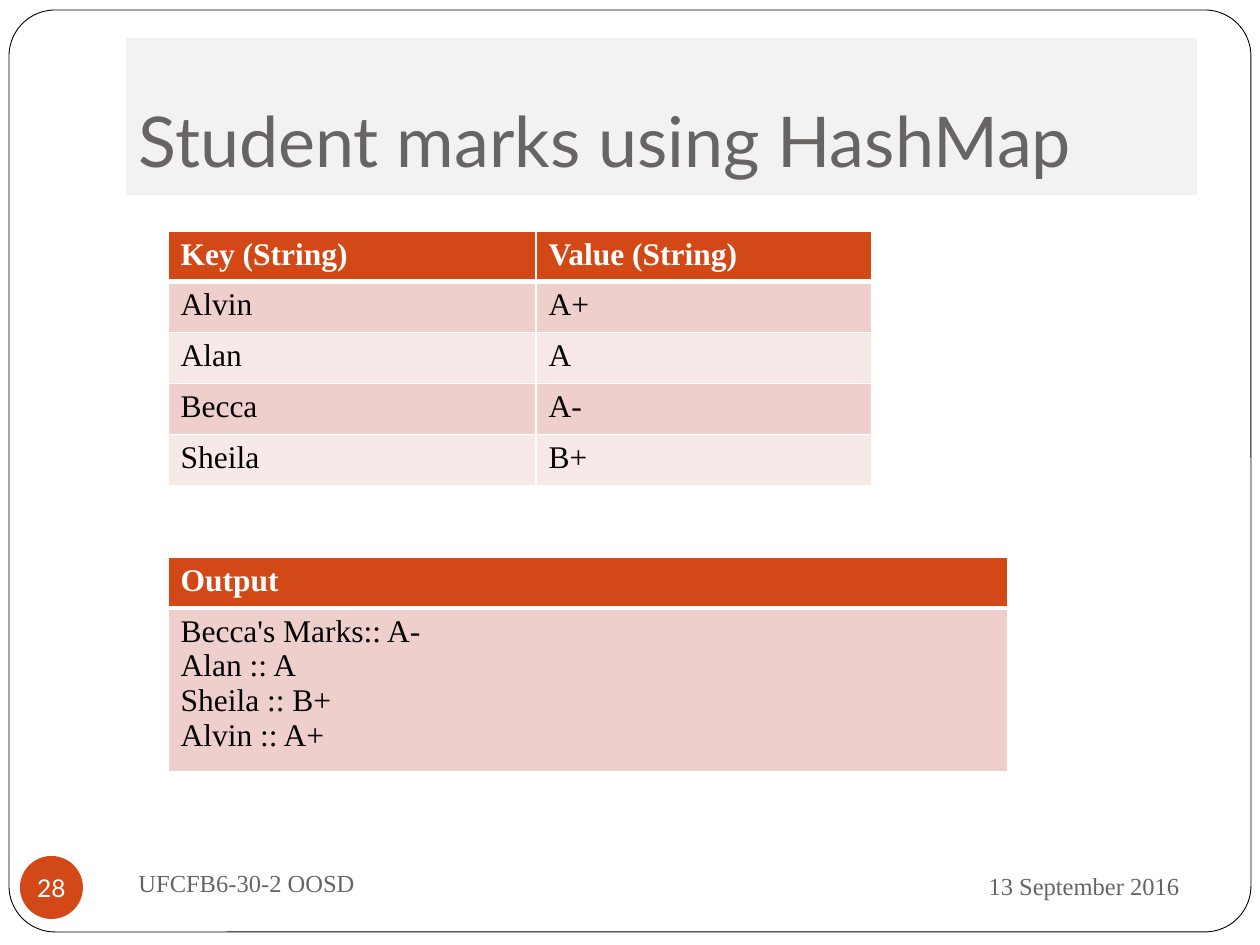
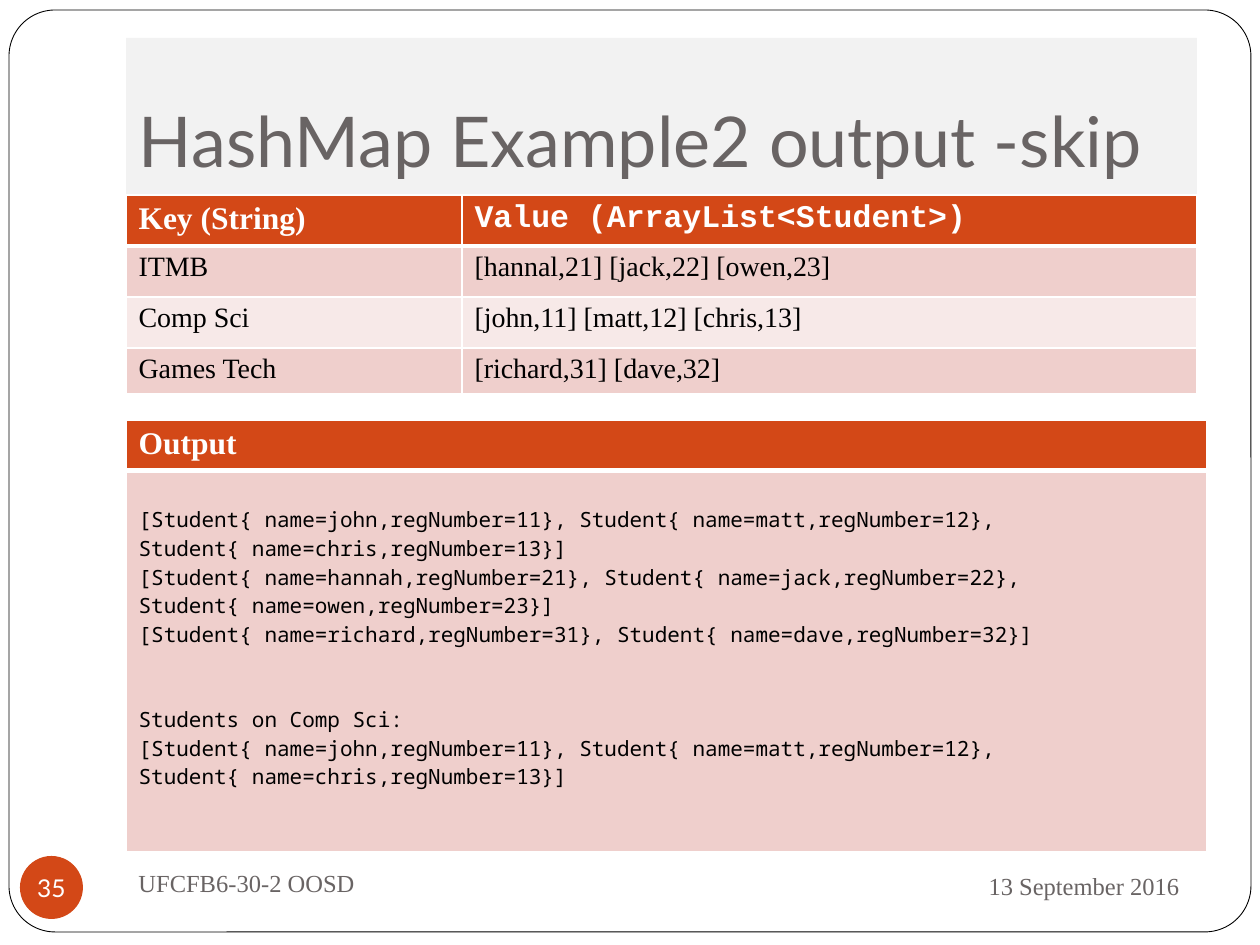
from lxml import etree
from pptx import Presentation
from pptx.dml.color import RGBColor
from pptx.enum.shapes import MSO_SHAPE
from pptx.enum.text import MSO_ANCHOR, MSO_AUTO_SIZE, PP_ALIGN
from pptx.oxml.ns import qn
from pptx.util import Pt

PX = 914400 / 126
LEFT, MID, RIGHT = PP_ALIGN.LEFT, PP_ALIGN.CENTER, PP_ALIGN.RIGHT
TOP, CENTRE, BASE = MSO_ANCHOR.TOP, MSO_ANCHOR.MIDDLE, MSO_ANCHOR.BOTTOM
NO_FIT = MSO_AUTO_SIZE.NONE
ROUND, OVAL = MSO_SHAPE.ROUNDED_RECTANGLE, MSO_SHAPE.OVAL

WHITE = RGBColor(0xFF, 0xFF, 0xFF)
BLACK = RGBColor(0, 0, 0)
GREY = RGBColor(0x69, 0x64, 0x64)
PALE = RGBColor(0xF2, 0xF2, 0xF2)
RUST = RGBColor(0xD3, 0x48, 0x17)
BANDS = RGBColor(0xEF, 0xCF, 0xCC), RGBColor(0xF7, 0xE9, 0xE8)

SANS, SERIF = "Lato", "Times New Roman"
CODE, MONO = "Courier New", "Noto Sans Mono"

MARKS = [
    ["Key (String)", "Value (String)"],
    ["Alvin", "A+"],
    ["Alan", "A"],
    ["Becca", "A-"],
    ["Sheila", "B+"],
]
GRADES = "Becca's Marks:: A-\nAlan :: A\nSheila :: B+\nAlvin :: A+"
GROUPS = [
    ["Key (String)", "Value (ArrayList<Student>)"],
    ["ITMB", "[hannal,21] [jack,22] [owen,23]"],
    ["Comp Sci", "[john,11] [matt,12] [chris,13]"],
    ["Games Tech", "[richard,31] [dave,32]"],
]
COMP = ("[Student{ name=john,regNumber=11}, Student{ name=matt,regNumber=12}, "
        "Student{ name=chris,regNumber=13}]")
LISTS = "\n".join([
    COMP,
    "[Student{ name=hannah,regNumber=21}, Student{ name=jack,regNumber=22}, "
    "Student{ name=owen,regNumber=23}]",
    "[Student{ name=richard,regNumber=31}, Student{ name=dave,regNumber=32}]",
    "Students on Comp Sci:",
    COMP,
])


def emu(px):
    """Turn px into EMU."""
    return round(px * PX)


def write(frame, text, size=18, font=SERIF, color=BLACK, bold=False,
          align=LEFT, gaps=None):
    """Fill a text frame, one paragraph a line; gaps maps a line to its space before."""
    frame.text = text
    for row, par in enumerate(frame.paragraphs):
        par.alignment = align
        par.font.size = Pt(size)
        par.font.name = font
        par.font.bold = bold
        par.font.color.rgb = color
        if gaps and row in gaps:
            par.space_before = Pt(gaps[row])


def add_form(slide, kind, box, fill):
    """Add a plain filled shape."""
    form = slide.shapes.add_shape(kind, *map(emu, box))
    form.shadow.inherit = False
    form.fill.solid()
    form.fill.fore_color.rgb = fill
    form.line.fill.background()
    return form


def add_frame(slide):
    """Add the rounded page outline behind everything else."""
    frame = add_form(slide, ROUND, (9, 10, 1242, 922), WHITE)
    frame.adjustments[0] = 0.05
    frame.line.color.rgb = BLACK
    frame.line.width = Pt(0.5)
    slide.shapes[0]._element.addprevious(frame._element)


def set_title(slide, text):
    """Place and format the title band."""
    title = slide.shapes.title
    title.left, title.top, title.width, title.height = map(emu, (126, 38, 1071, 157))
    title.fill.solid()
    title.fill.fore_color.rgb = PALE
    frame = title.text_frame
    frame.auto_size = NO_FIT
    frame.vertical_anchor = BASE
    frame.margin_left = frame.margin_right = frame.margin_bottom = emu(13)
    frame.margin_top = emu(6)
    write(frame, text, size=40, font=SANS, color=GREY)


def add_note(slide, box, text, align=LEFT):
    """Add a footer text."""
    frame = slide.shapes.add_textbox(*map(emu, box)).text_frame
    frame.word_wrap = True
    frame.vertical_anchor = CENTRE
    write(frame, text, size=14, color=GREY, align=align)


def add_badge(slide, number):
    """Add the round page number."""
    frame = add_form(slide, OVAL, (20, 856, 63, 63), RUST).text_frame
    frame.margin_left = frame.margin_right = 0
    frame.margin_top = frame.margin_bottom = 0
    frame.word_wrap = False
    frame.vertical_anchor = CENTRE
    write(frame, str(number), size=14, font=SANS, color=WHITE, align=MID)


def add_edge(cell, side, width):
    """Draw one white border of a cell."""
    props = cell._tc.get_or_add_tcPr()
    line = etree.SubElement(props, qn(f"a:ln{side}"), w=str(Pt(width)))
    fill = etree.SubElement(line, qn("a:solidFill"))
    etree.SubElement(fill, qn("a:srgbClr"), val=str(WHITE))


def add_grid(slide, left, top, cols, rows, cells, size=18, font=SERIF,
             heads=(SERIF, SERIF), gaps=None, pad=6):
    """Add a table with a rust header and banded rows."""
    box = left, top, sum(cols), sum(rows)
    table = slide.shapes.add_table(len(rows), len(cols), *map(emu, box)).table
    for col, width in zip(table.columns, cols):
        col.width = emu(width)
    for r, (row, height) in enumerate(zip(table.rows, rows)):
        row.height = emu(height)
        for c, cell in enumerate(row.cells):
            for side in "LR":
                add_edge(cell, side, 1)
            if r == 0:
                add_edge(cell, "T", 1)
            add_edge(cell, "B", 1 if r else 3)
            cell.fill.solid()
            cell.fill.fore_color.rgb = BANDS[(r - 1) % 2] if r else RUST
            cell.vertical_anchor = TOP
            if r:
                cell.margin_top = emu(pad)
                write(cell.text_frame, cells[r][c], size=size, font=font, gaps=gaps)
            else:
                write(cell.text_frame, cells[r][c], font=heads[c], color=WHITE, bold=True)


def add_page(deck, title, number):
    """Add a slide with the shared title, outline and footer."""
    slide = deck.slides.add_slide(deck.slide_layouts[5])
    set_title(slide, title)
    add_frame(slide)
    add_note(slide, (851, 853, 341, 66), "13 September 2016", RIGHT)
    add_note(slide, (126, 851, 546, 63), "UFCFB6-30-2 OOSD")
    add_badge(slide, number)
    return slide


def main():
    """Build and save the slides."""
    deck = Presentation()
    deck.slide_width, deck.slide_height = emu(1260), emu(945)

    slide = add_page(deck, "Student marks using HashMap", 28)
    add_grid(slide, 168, 231, [368, 336], [46] + [51] * 4, MARKS)
    add_grid(slide, 168, 557, [840], [51, 152], [["Output"], [GRADES]])

    slide = add_page(deck, "HashMap Example2 output -skip", 35)
    add_grid(slide, 126, 195, [336, 735], [51, 51, 51, 46], GROUPS,
             size=16, heads=(SERIF, CODE))
    add_grid(slide, 126, 420, [1081], [50, 381], [["Output"], [LISTS]],
             size=12, font=MONO, gaps={3: 32.5}, pad=35)

    deck.save("out.pptx")


if __name__ == "__main__":
    main()
